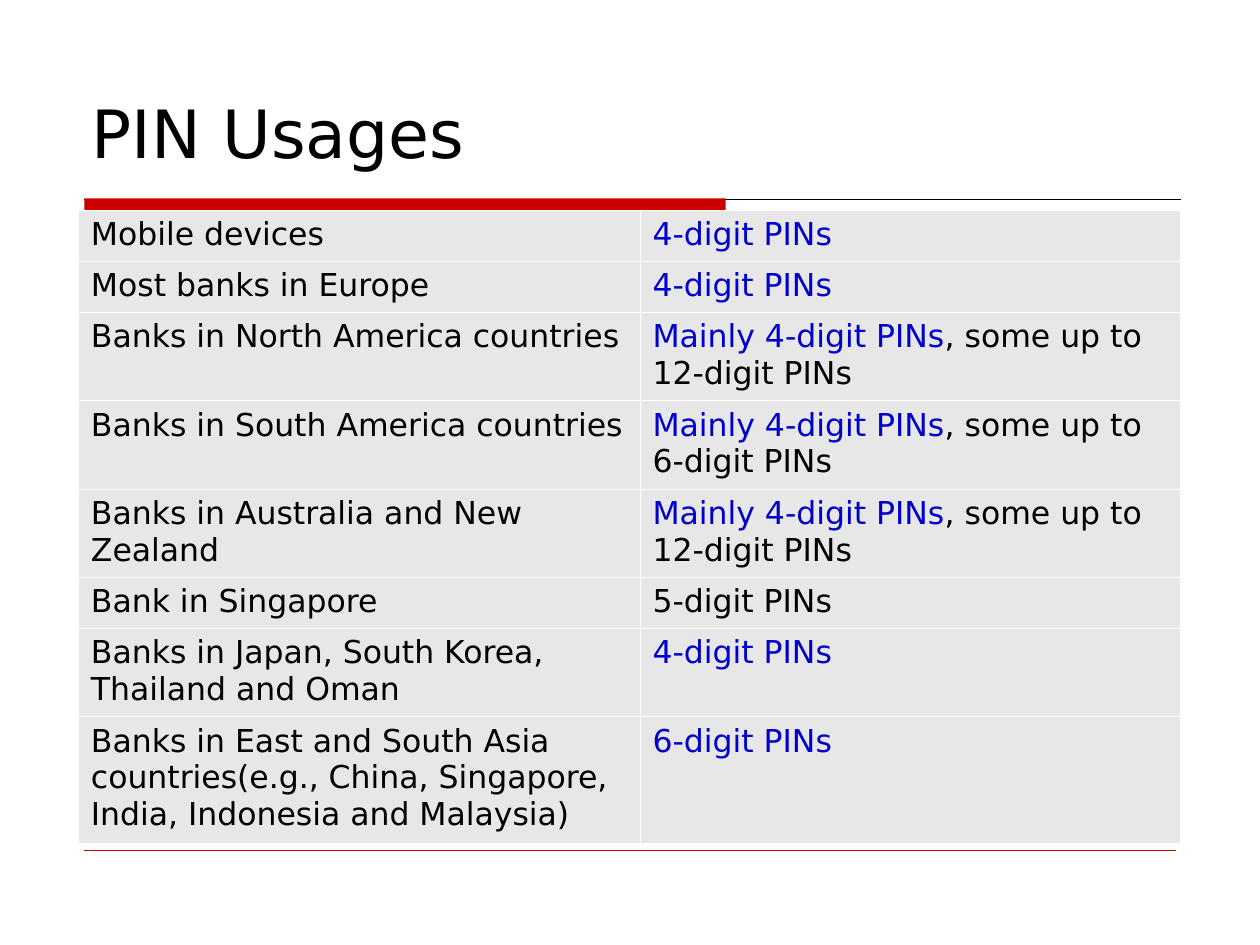
from lxml import etree
from pptx import Presentation
from pptx.dml.color import RGBColor
from pptx.enum.shapes import MSO_CONNECTOR, MSO_SHAPE
from pptx.enum.text import MSO_ANCHOR
from pptx.oxml.ns import qn
from pptx.util import Cm, Pt

STRAIGHT = MSO_CONNECTOR.STRAIGHT
RECTANGLE = MSO_SHAPE.RECTANGLE
BOTTOM = MSO_ANCHOR.BOTTOM

FONT = "DejaVu Sans"
BLACK, BLUE, RED, GREY, WHITE = "000000", "0000CC", "CC0000", "E7E7E7", "FFFFFF"

MAINLY = ("Mainly 4-digit PINs", BLUE)
FOUR_DIGIT = [("4-digit PINs", BLUE)]
UP_TO_12 = [MAINLY, (", some up to 12-digit PINs", BLACK)]
UP_TO_6 = [MAINLY, (", some up to 6-digit PINs", BLACK)]

# Who uses the PINs, their length as coloured runs, number of text lines
USAGES = [
    ("Mobile devices", FOUR_DIGIT, 1),
    ("Most banks in Europe", FOUR_DIGIT, 1),
    ("Banks in North America countries", UP_TO_12, 2),
    ("Banks in South America countries", UP_TO_6, 2),
    ("Banks in Australia and New Zealand", UP_TO_12, 2),
    ("Bank in Singapore", [("5-digit PINs", BLACK)], 1),
    ("Banks in Japan, South Korea, Thailand and Oman", FOUR_DIGIT, 2),
    ("Banks in East and South Asia countries(e.g., China, Singapore, India, "
     "Indonesia and Malaysia)", [("6-digit PINs", BLUE)], 3),
]
COLUMN_WIDTHS = [11.32, 10.9]
ROW_HEIGHTS = {1: 1.03, 2: 1.78, 3: 2.54}


def rgb(value):
    return RGBColor.from_string(value)


def add_rule(slide, x1, x2, y, color, width):
    line = slide.shapes.add_connector(STRAIGHT, Cm(x1), Cm(y), Cm(x2), Cm(y))
    line.line.color.rgb = rgb(color)
    line.line.width = Pt(width)
    etree.SubElement(line._element.spPr, qn("a:effectLst"))


def add_bar(slide, x, y, w, h, color):
    sp = slide.shapes.add_shape(RECTANGLE, Cm(x), Cm(y), Cm(w), Cm(h))
    sp.shadow.inherit = False
    sp.fill.solid()
    sp.fill.fore_color.rgb = rgb(color)
    sp.line.fill.background()


def write_runs(tf, runs, size):
    p = tf.paragraphs[0]
    p.font.size = Pt(size)
    p.font.name = FONT
    for text, color in runs:
        r = p.add_run()
        r.text = text
        r.font.color.rgb = rgb(color)


def add_title(slide, text):
    tf = slide.shapes.add_textbox(Cm(1.6), Cm(0.84), Cm(22.22), Cm(2.74)).text_frame
    tf.word_wrap = True
    tf.vertical_anchor = BOTTOM
    write_runs(tf, [(text, BLACK)], 38)


def set_borders(cell, color, width):
    tc_pr = cell._tc.get_or_add_tcPr()
    for side in ("lnL", "lnR", "lnT", "lnB"):
        ln = etree.SubElement(tc_pr, qn(f"a:{side}"), w=str(Pt(width)))
        fill = etree.SubElement(ln, qn("a:solidFill"))
        etree.SubElement(fill, qn("a:srgbClr"), val=color)


def fill_cell(cell, runs):
    set_borders(cell, WHITE, 0.45)
    cell.fill.solid()
    cell.fill.fore_color.rgb = rgb(GREY)
    write_runs(cell.text_frame, runs, 18)


def add_usage_table(slide, x, y):
    heights = [ROW_HEIGHTS[lines] for _, _, lines in USAGES]
    table = slide.shapes.add_table(
        len(USAGES), len(COLUMN_WIDTHS), Cm(x), Cm(y),
        Cm(sum(COLUMN_WIDTHS)), Cm(sum(heights))).table
    table.first_row = False
    table.horz_banding = False
    for column, width in zip(table.columns, COLUMN_WIDTHS):
        column.width = Cm(width)
    for row, height, (user, pins, _) in zip(table.rows, heights, USAGES):
        row.height = Cm(height)
        fill_cell(row.cells[0], [(user, BLACK)])
        fill_cell(row.cells[1], pins)


def main():
    prs = Presentation()
    prs.slide_width, prs.slide_height = Cm(25.4), Cm(19.05)
    slide = prs.slides.add_slide(prs.slide_layouts[6])

    # Rules above and below the table
    add_rule(slide, 1.7, 23.8, 4.02, BLACK, 0.75)
    add_bar(slide, 1.7, 4, 12.93, 0.3, RED)
    add_rule(slide, 1.7, 23.7, 17.14, RED, 0.25)

    # Title and table
    add_title(slide, "PIN Usages")
    add_usage_table(slide, 1.58, 4.24)

    prs.save("out.pptx")


if __name__ == "__main__":
    main()
